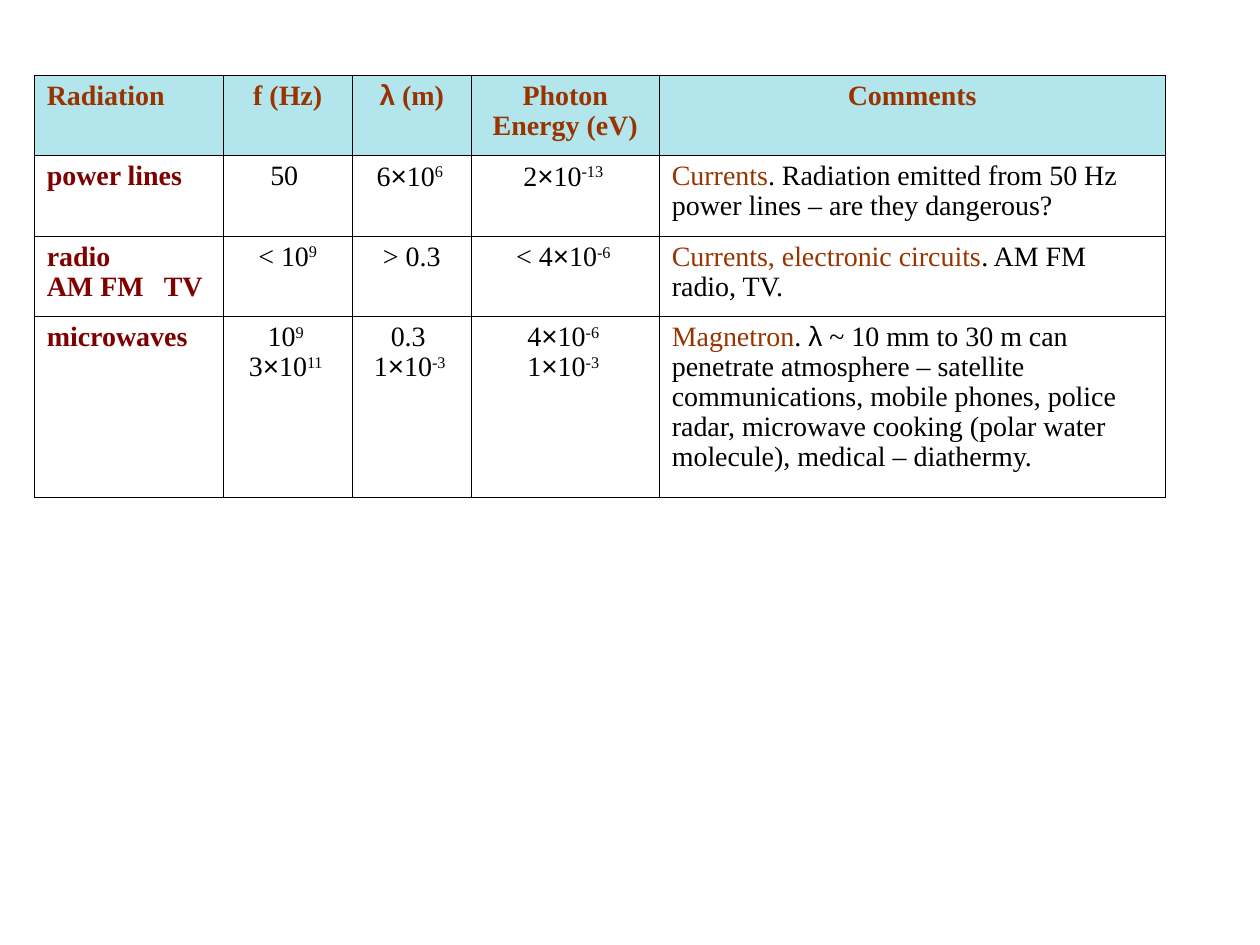
from itertools import groupby

from lxml import etree
from pptx import Presentation
from pptx.dml.color import RGBColor
from pptx.enum.text import PP_ALIGN
from pptx.oxml.ns import qn
from pptx.util import Cm, Pt

LEFT, CENTER = PP_ALIGN.LEFT, PP_ALIGN.CENTER
COLORS = {"head": "993300", "name": "800000", "body": "000000",
          "band": "B2E6EC", "line": "000000"}
COLS = [3.81, 2.6, 2.4, 3.79, 10.2]
ROWS = [1.62, 1.62, 1.62, 3.65]

# ^ switches superscript on and off, | ends the lead words of a comment
DATA = [
    ["Radiation", "f (Hz)", "λ (m)", "Photon\nEnergy (eV)", "Comments"],
    ["power lines", "50 ", "6×10^6 ^", "2×10^-13 ^",
     "Currents|. Radiation emitted from 50 Hz power lines – are they dangerous?"],
    ["radio\nAM FM\tTV", "< 10^9^", " > 0.3 ", "< 4×10^-6 ^",
     "Currents, electronic circuits|. AM FM radio, TV."],
    ["microwaves", "10^9 ^\n3×10^11 ^", "0.3 \n1×10^-3 ^",
     "4×10^-6 ^\n1×10^-3 ^",
     "Magnetron|. λ ~ 10 mm to 30 m can penetrate atmosphere – satellite "
     "communications, mobile phones, police radar, microwave cooking "
     "(polar water molecule), medical – diathermy."],
]


def add_runs(para, text, color, bold):
    """Add text to a paragraph, with Arial symbols and raised exponents."""
    for i, part in enumerate(text.split("^")):
        for symbol, chars in groupby(part, lambda c: c in "λ×"):
            run = para.add_run()
            run.text = "".join(chars)
            form = {"name": "Arial" if symbol else "Times New Roman",
                    "size": Pt(16), "bold": bold}
            for key, value in form.items():
                setattr(run.font, key, value)
            run.font.color.rgb = RGBColor.from_string(COLORS[color])
            if i % 2:
                run._r.get_or_add_rPr().set("baseline", "30000")


def add_borders(cell):
    props = cell._tc.get_or_add_tcPr()
    for side in ("lnL", "lnR", "lnT", "lnB"):
        line = etree.SubElement(props, qn("a:" + side), w=str(Pt(0.45)))
        fill = etree.SubElement(line, qn("a:solidFill"))
        etree.SubElement(fill, qn("a:srgbClr"), val=COLORS["line"])


prs = Presentation()
prs.slide_width, prs.slide_height = Cm(25.4), Cm(19.05)
slide = prs.slides.add_slide(prs.slide_layouts[6])

table = slide.shapes.add_table(len(ROWS), len(COLS), Cm(0.69), Cm(1.52),
                               Cm(sum(COLS)), Cm(sum(ROWS))).table
table.first_row = table.horz_banding = False
for col, width in zip(table.columns, COLS):
    col.width = Cm(width)
for row, height in zip(table.rows, ROWS):
    row.height = Cm(height)

for r, texts in enumerate(DATA):
    for c, text in enumerate(texts):
        cell = table.cell(r, c)
        add_borders(cell)
        if r == 0:
            cell.fill.solid()
            cell.fill.fore_color.rgb = RGBColor.from_string(COLORS["band"])
        else:
            cell.fill.background()

        color = "head" if r == 0 else "name" if c == 0 else "body"
        bold = r == 0 or c == 0
        left = c == 0 or (r > 0 and c == len(COLS) - 1)
        frame = cell.text_frame
        for i, line in enumerate(text.split("\n")):
            para = frame.add_paragraph() if i else frame.paragraphs[0]
            para.alignment = LEFT if left else CENTER
            para.line_spacing = 0.96
            if "\t" in line:
                tabs = etree.SubElement(para._p.get_or_add_pPr(), qn("a:tabLst"))
                etree.SubElement(tabs, qn("a:tab"), pos=str(Cm(2.36)), algn="l")
            lead, bar, rest = line.partition("|")
            add_runs(para, lead, "head" if bar else color, bold)
            add_runs(para, rest, color, bold)

prs.save("out.pptx")
